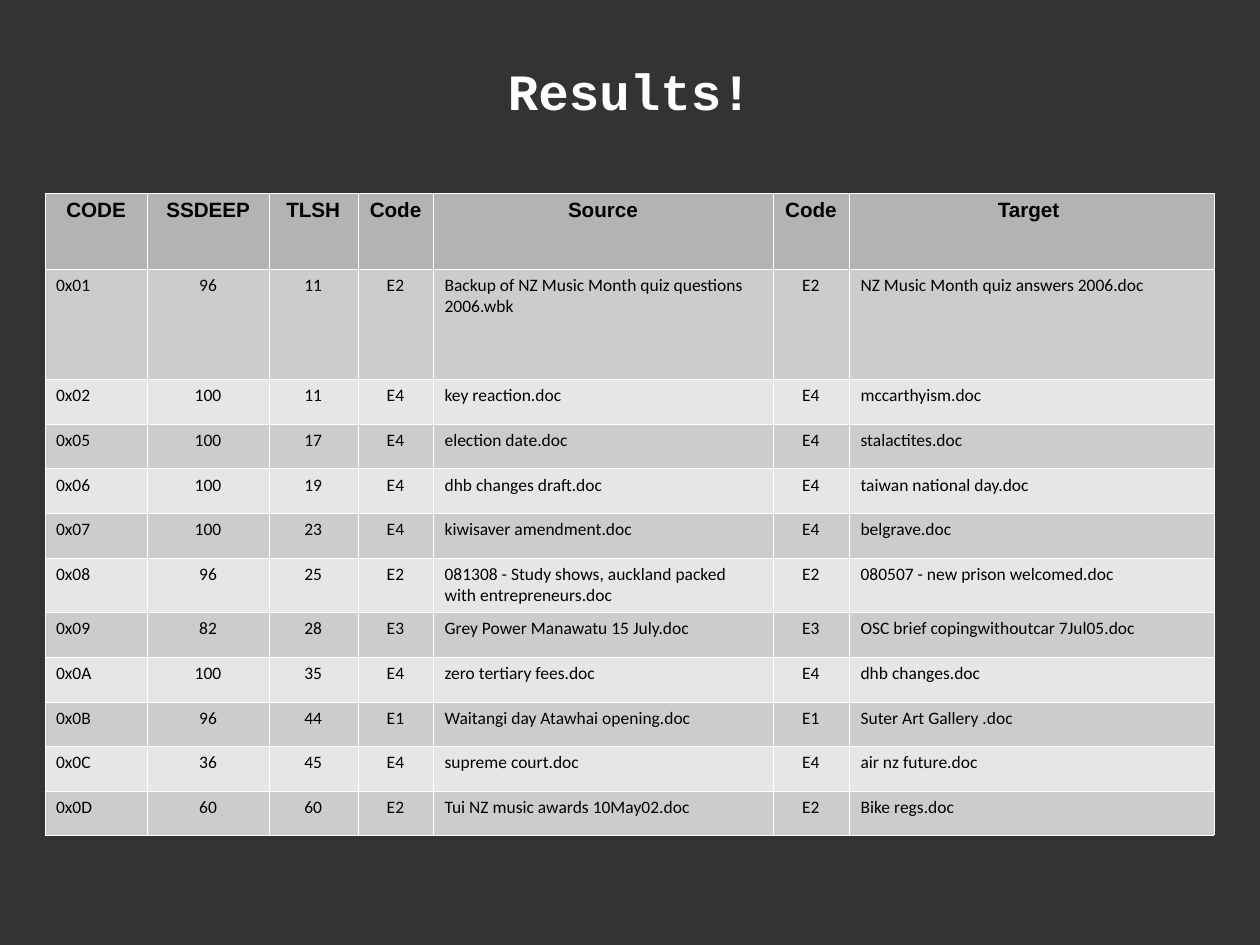
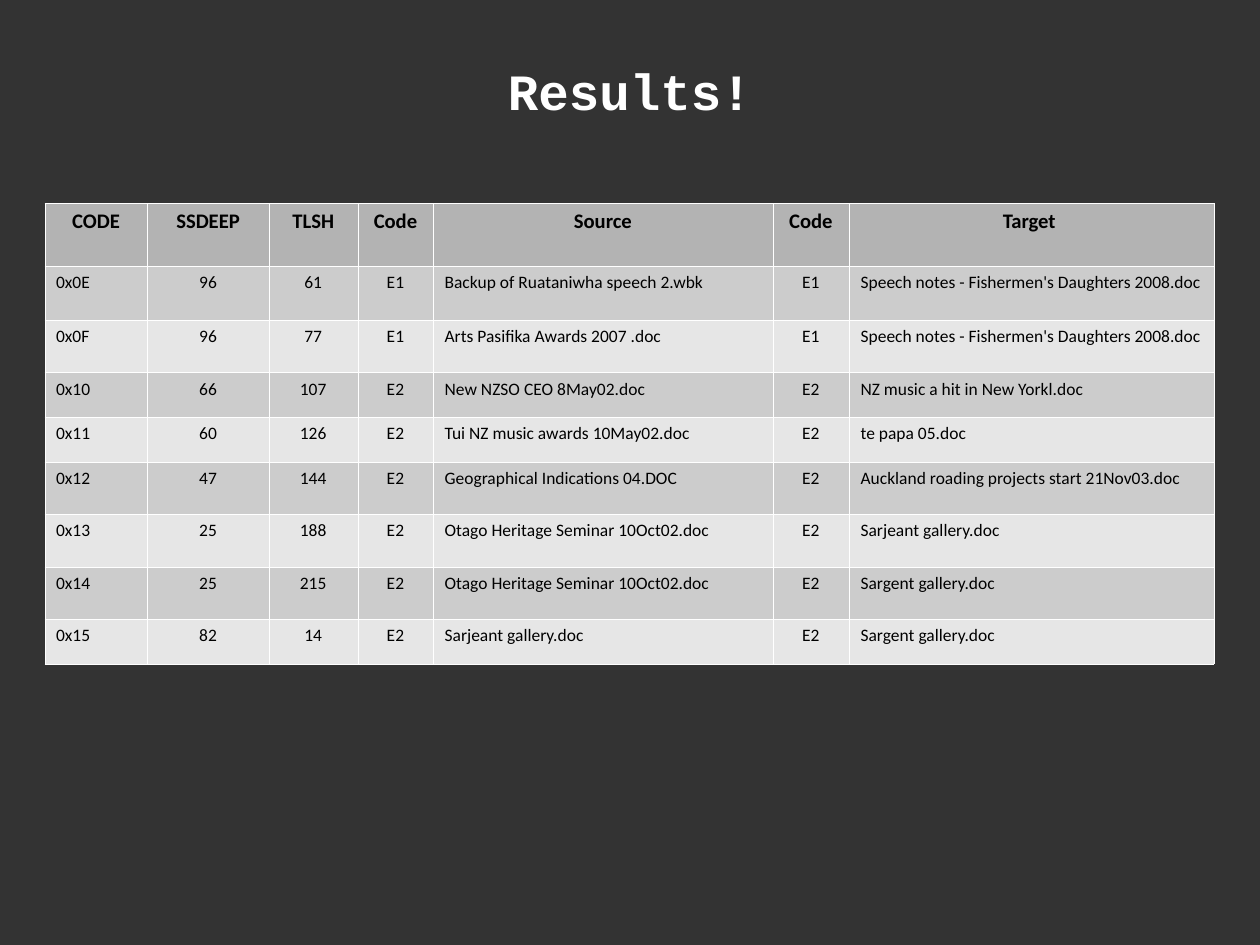
from lxml import etree
from pptx import Presentation
from pptx.dml.color import RGBColor
from pptx.enum.text import MSO_ANCHOR, PP_ALIGN
from pptx.oxml.ns import qn
from pptx.util import Cm, Inches, Pt

LEFT, MID = PP_ALIGN.LEFT, PP_ALIGN.CENTER
CENTRE = MSO_ANCHOR.MIDDLE
WIDTH, HEIGHT = Cm(28), Cm(21)
BLANK = 6
COLOURS = {
    "back": "333333",
    "title": "FFFFFF",
    "text": "000000",
    "rule": "FFFFFF",
    "head": "B3B3B3",
    "odd": "CCCCCC",
    "even": "E6E6E6",
}
HEADS = ["CODE", "SSDEEP", "TLSH", "Code", "Source", "Code", "Target "]
COLS = [0.9, 1.06, 0.78, 0.66, 2.97, 0.67, 3.19]
ALIGNS = [LEFT, MID, MID, MID, LEFT, MID, LEFT]
EDGE = 0.39
LOW, HIGH = 0.39, 0.46

FIRST = [
    ("0x01", 96, 11, "E2", "Backup of NZ Music Month quiz questions 2006.wbk",
     "NZ Music Month quiz answers 2006.doc"),
    ("0x02", 100, 11, "E4", "key reaction.doc", "mccarthyism.doc"),
    ("0x05", 100, 17, "E4", "election date.doc", "stalactites.doc"),
    ("0x06", 100, 19, "E4", "dhb changes draft.doc", "taiwan national day.doc"),
    ("0x07", 100, 23, "E4", "kiwisaver amendment.doc", "belgrave.doc"),
    ("0x08", 96, 25, "E2",
     "081308 - Study shows, auckland packed with entrepreneurs.doc",
     "080507 - new prison welcomed.doc"),
    ("0x09", 82, 28, "E3", "Grey Power Manawatu 15 July.doc",
     "OSC brief copingwithoutcar 7Jul05.doc"),
    ("0x0A", 100, 35, "E4", "zero tertiary fees.doc", "dhb changes.doc"),
    ("0x0B", 96, 44, "E1", "Waitangi day Atawhai opening.doc",
     "Suter Art Gallery .doc"),
    ("0x0C", 36, 45, "E4", "supreme court.doc", "air nz future.doc"),
    ("0x0D", 60, 60, "E2", "Tui NZ music awards 10May02.doc", "Bike regs.doc"),
]
SECOND = [
    ("0x0E", 96, 61, "E1", "Backup of Ruataniwha speech 2.wbk",
     "Speech notes - Fishermen's Daughters 2008.doc"),
    ("0x0F", 96, 77, "E1", "Arts Pasifika Awards 2007 .doc",
     "Speech notes - Fishermen's Daughters 2008.doc"),
    ("0x10", 66, 107, "E2", "New NZSO CEO 8May02.doc",
     "NZ music a hit in New Yorkl.doc"),
    ("0x11", 60, 126, "E2", "Tui NZ music awards 10May02.doc",
     "te papa 05.doc"),
    ("0x12", 47, 144, "E2", "Geographical Indications 04.DOC",
     "Auckland roading projects start 21Nov03.doc"),
    ("0x13", 25, 188, "E2", "Otago Heritage Seminar 10Oct02.doc",
     "Sarjeant gallery.doc"),
    ("0x14", 25, 215, "E2", "Otago Heritage Seminar 10Oct02.doc",
     "Sargent gallery.doc"),
    ("0x15", 82, 14, "E2", "Sarjeant gallery.doc", "Sargent gallery.doc"),
]
PAGES = [
    (1.69, "Arial", [0.66, 0.97] + [LOW] * 4 + [0.48] + [LOW] * 5, FIRST),
    (1.78, "Calibri",
     [0.55, 0.47, HIGH] + [LOW] * 2 + [HIGH] * 3 + [LOW], SECOND),
]


def paint(fill, name):
    """Fill something with a named colour."""
    fill.solid()
    fill.fore_color.rgb = RGBColor.from_string(COLOURS[name])


def write(frame, text, align, face, size, bold, colour):
    """Put one styled paragraph in a text frame."""
    frame.text = text
    para = frame.paragraphs[0]
    para.alignment = align
    font = para.runs[0].font
    font.name, font.size, font.bold = face, Pt(size), bold
    font.color.rgb = RGBColor.from_string(COLOURS[colour])


def frame_cell(cell):
    """Draw a hairline on the four sides of a cell."""
    props = cell._tc.get_or_add_tcPr()
    for side in ("lnL", "lnR", "lnT", "lnB"):
        line = etree.SubElement(props, qn("a:" + side), w=str(Pt(0.06)))
        solid = etree.SubElement(line, qn("a:solidFill"))
        etree.SubElement(solid, qn("a:srgbClr"), val=COLOURS["rule"])


def add_title(slide, text):
    """Add the centred slide title."""
    box = slide.shapes.add_textbox(
        int(WIDTH * 0.05), int(HEIGHT * 0.06),
        int(WIDTH * 0.9), int(HEIGHT * 0.07))
    frame = box.text_frame
    frame.word_wrap = True
    frame.vertical_anchor = CENTRE
    frame.margin_left = frame.margin_right = 0
    frame.margin_top = frame.margin_bottom = 0
    write(frame, text, MID, "Courier New", 32, True, "title")


def add_grid(slide, top, face, highs, rows):
    """Add a results table with banded rows."""
    table = slide.shapes.add_table(
        len(highs), len(COLS), Inches(EDGE), Inches(top),
        Inches(sum(COLS)), Inches(sum(highs))).table
    table.horz_banding = False
    for col, size in zip(table.columns, COLS):
        col.width = Inches(size)
    for row, size in zip(table.rows, highs):
        row.height = Inches(size)
    lines = [HEADS] + [(*row[:5], row[3], row[5]) for row in rows]
    for r, line in enumerate(lines):
        band = "odd" if r % 2 else "even"
        for c, value in enumerate(line):
            cell = table.cell(r, c)
            frame_cell(cell)
            paint(cell.fill, band if r else "head")
            style = (ALIGNS[c], "Calibri", 11, False) if r else (
                MID, face, 13, True)
            write(cell.text_frame, str(value), *style, "text")


def main():
    """Build and save the slides."""
    deck = Presentation()
    deck.slide_width, deck.slide_height = WIDTH, HEIGHT
    paint(deck.slide_master.background.fill, "back")
    for page in PAGES:
        slide = deck.slides.add_slide(deck.slide_layouts[BLANK])
        add_title(slide, "Results!")
        add_grid(slide, *page)
    deck.save("out.pptx")


if __name__ == "__main__":
    main()
